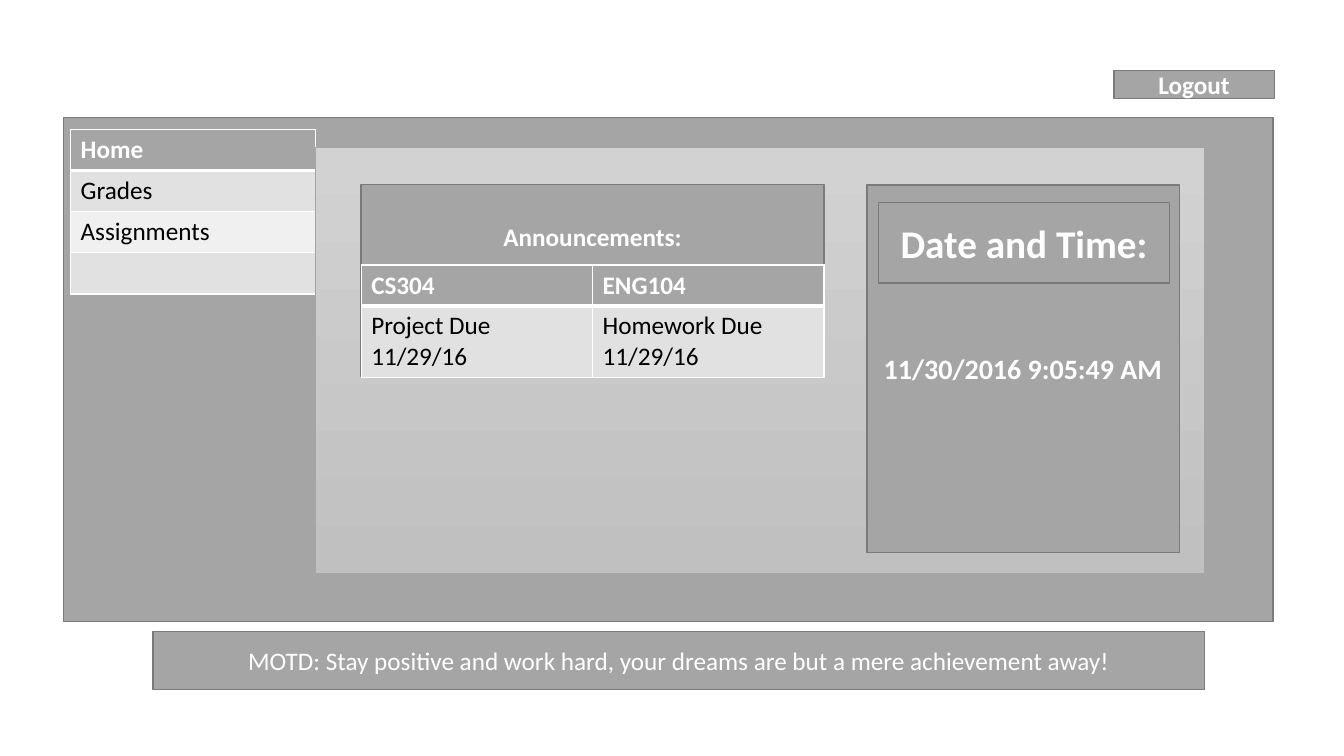
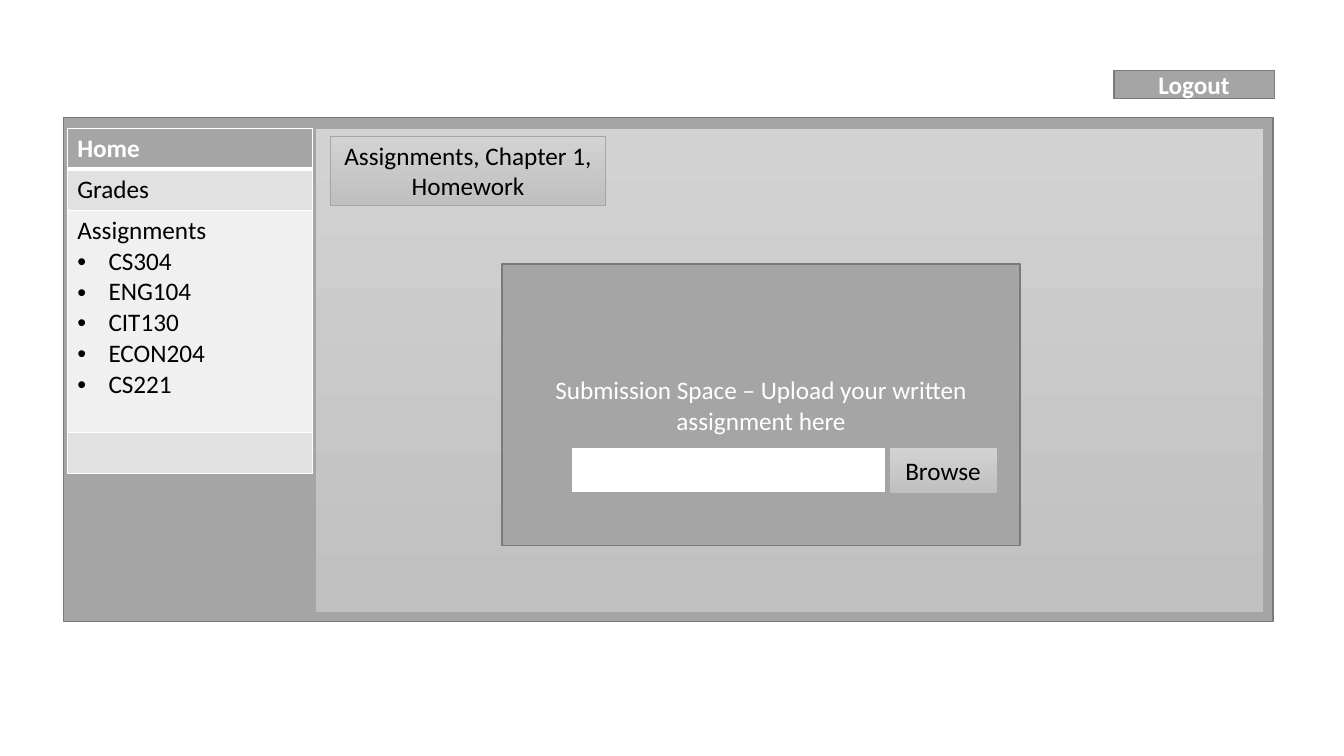
import pptx
import pptx.dml.color
import pptx.enum.shapes
import pptx.enum.text
import pptx.oxml
import pptx.oxml.ns
import pptx.util
from lxml import etree

RGBColor = pptx.dml.color.RGBColor
WHITE = RGBColor(0xFF, 0xFF, 0xFF)
BLACK = RGBColor(0x00, 0x00, 0x00)
GRAY = RGBColor(0xA5, 0xA5, 0xA5)
OUTLINE = RGBColor(0x7A, 0x7A, 0x7A)
BAND_DARK = RGBColor(0xE1, 0xE1, 0xE1)
BAND_LIGHT = RGBColor(0xF0, 0xF0, 0xF0)
GRADIENT = (RGBColor(0xD2, 0xD2, 0xD2), RGBColor(0xC0, 0xC0, 0xC0))

FONT = "Calibri"
COLUMNS, ROWS = 160, 90
MENU_WIDTH = 29.2
MENU_ROW = 4.9
BULLET = "•"
BULLET_INDENT = pptx.util.Inches(0.31)


class PortalDeck:
    """Draws portal pages on a grid of 160 columns by 90 rows."""

    def __init__(self):
        self.presentation = pptx.Presentation()
        self.presentation.slide_width = pptx.util.Inches(13.333)
        self.presentation.slide_height = pptx.util.Inches(7.5)
        self.slide = None

    def across(self, columns):
        return round(self.presentation.slide_width * columns / COLUMNS)

    def down(self, rows):
        return round(self.presentation.slide_height * rows / ROWS)

    def place(self, left, top, width, height):
        return self.across(left), self.down(top), self.across(width), self.down(height)

    def page(self):
        self.slide = self.presentation.slides.add_slide(self.presentation.slide_layouts[6])
        self.box((7.55, 14, 144, 60))
        self.box((132.6, 8.4, 19.1, 3.35), "Logout", bold=True)

    def style(self, paragraph, color, size=18, bold=False):
        paragraph.font.name = FONT
        paragraph.font.size = pptx.util.Pt(size)
        paragraph.font.bold = bold
        paragraph.font.color.rgb = color

    def label(self, shape, text, color=WHITE, size=18, bold=False):
        frame = shape.text_frame
        frame.word_wrap = True
        frame.vertical_anchor = pptx.enum.text.MSO_ANCHOR.MIDDLE
        paragraph = frame.paragraphs[0]
        paragraph.text = text
        paragraph.alignment = pptx.enum.text.PP_ALIGN.CENTER
        self.style(paragraph, color, size, bold)

    def rectangle(self, area, line, line_width):
        shape = self.slide.shapes.add_shape(
            pptx.enum.shapes.MSO_SHAPE.RECTANGLE, *self.place(*area))
        shape.shadow.inherit = False
        shape.line.color.rgb = line
        shape.line.width = pptx.util.Pt(line_width)
        return shape

    def box(self, area, text="", fill=GRAY, line=OUTLINE, size=18, bold=False):
        shape = self.rectangle(area, line, 1)
        shape.fill.solid()
        shape.fill.fore_color.rgb = fill
        if text:
            self.label(shape, text, WHITE, size, bold)
        return shape

    def panel(self, area, text=""):
        shape = self.rectangle(area, GRAY, 0.5)
        shape.fill.gradient()
        shape.fill.gradient_angle = 270
        for stop, color in zip(shape.fill.gradient_stops, GRADIENT):
            stop.color.rgb = color
        if text:
            self.label(shape, text, BLACK)

    def text(self, area, text, size):
        shape = self.slide.shapes.add_textbox(*self.place(*area))
        self.label(shape, text, size=size, bold=True)

    def borders(self, cell, row):
        properties = cell._tc.get_or_add_tcPr()
        for edge in "LRTB":
            points = 3 if (edge, row) in (("B", 0), ("T", 1)) else 1
            line = etree.SubElement(properties, pptx.oxml.ns.qn(f"a:ln{edge}"),
                                    w=str(pptx.util.Pt(points)))
            solid = etree.SubElement(line, pptx.oxml.ns.qn("a:solidFill"))
            etree.SubElement(solid, pptx.oxml.ns.qn("a:srgbClr"), val=str(WHITE))

    def bullet(self, paragraph):
        properties = paragraph._p.get_or_add_pPr()
        properties.set("marL", str(BULLET_INDENT))
        properties.set("indent", str(-BULLET_INDENT))
        etree.SubElement(properties, pptx.oxml.ns.qn("a:buFont"), typeface="Arial")
        etree.SubElement(properties, pptx.oxml.ns.qn("a:buChar"), char=BULLET)

    def table(self, left, top, width, heights, rows):
        area = self.place(left, top, width, sum(heights))
        table = self.slide.shapes.add_table(len(rows), len(rows[0]), *area).table
        table.first_row = table.horz_banding = False
        for row, (height, texts) in enumerate(zip(heights, rows)):
            table.rows[row].height = self.down(height)
            for column, text in enumerate(texts):
                cell = table.cell(row, column)
                self.borders(cell, row)
                cell.fill.solid()
                cell.fill.fore_color.rgb = (
                    GRAY if row == 0 else BAND_DARK if row % 2 else BAND_LIGHT)
                cell.text = text
                for paragraph in cell.text_frame.paragraphs:
                    if paragraph.text.startswith(BULLET):
                        paragraph.text = paragraph.text[len(BULLET):]
                        self.bullet(paragraph)
                    self.style(paragraph, BLACK if row else WHITE, bold=row == 0)

    def menu(self, left, top, courses=(), courses_height=MENU_ROW):
        assignments = "\n".join(["Assignments", *(BULLET + course for course in courses)])
        self.table(left, top, MENU_WIDTH, (MENU_ROW, MENU_ROW, courses_height, MENU_ROW),
                   [["Home"], ["Grades"], [assignments], [""]])


def home_page(deck):
    deck.page()
    deck.menu(8.4, 15.4)
    deck.panel((37.6, 17.5, 105.8, 50.8))
    announcements = deck.box((43, 22, 55.1, 22.8), "Announcements:", bold=True)
    announcements.text_frame.margin_bottom = deck.down(11.2)
    deck.table(43, 31.55, 55.1, (4.8, 8.4),
               [["CS304", "ENG104"], ["Project Due 11/29/16", "Homework Due\n11/29/16"]])
    deck.box((103.2, 22, 37.2, 43.8))
    deck.box((18.2, 75.2, 125.2, 6.9),
             "MOTD: Stay positive and work hard, your dreams are but a mere achievement away!")
    deck.text((103.8, 38.2, 36, 11.3), "11/30/2016 9:05:49 AM", 20)
    deck.box((104.6, 24.1, 34.6, 9.6), "Date and Time:", size=28, bold=True)


def submission_page(deck):
    deck.page()
    deck.panel((37.6, 15.25, 112.8, 57.6))
    deck.panel((39.35, 16.2, 32.75, 8.2), "Assignments, Chapter 1, Homework")
    deck.menu(8, 15.25, ("CS304", "ENG104", "CIT130", "ECON204", "CS221"), 26.4)
    deck.box((59.75, 31.45, 61.7, 33.5),
             "Submission Space – Upload your written assignment here")
    deck.box((68, 53.3, 37.45, 5.4), fill=WHITE, line=GRAY)
    deck.panel((105.85, 53.3, 12.85, 5.4), "Browse")


def main():
    deck = PortalDeck()
    home_page(deck)
    submission_page(deck)
    deck.presentation.save("out.pptx")


if __name__ == "__main__":
    main()
